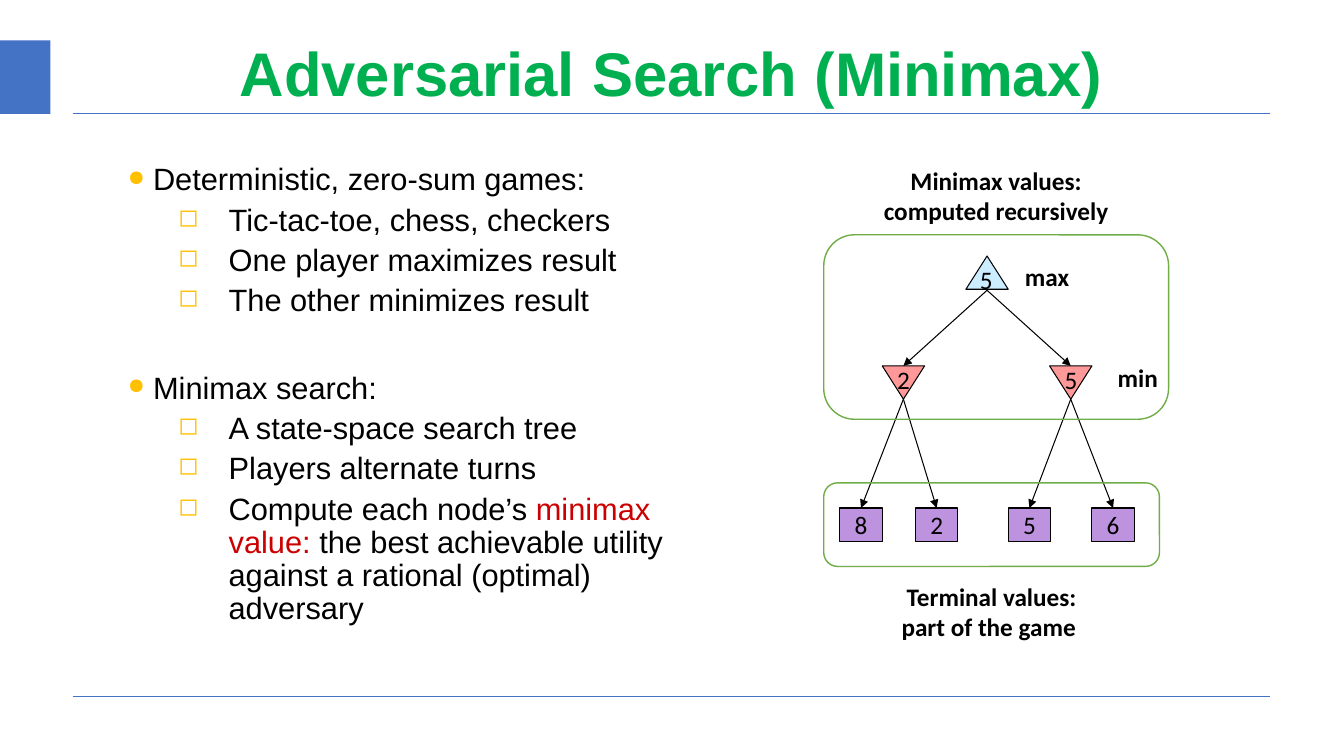
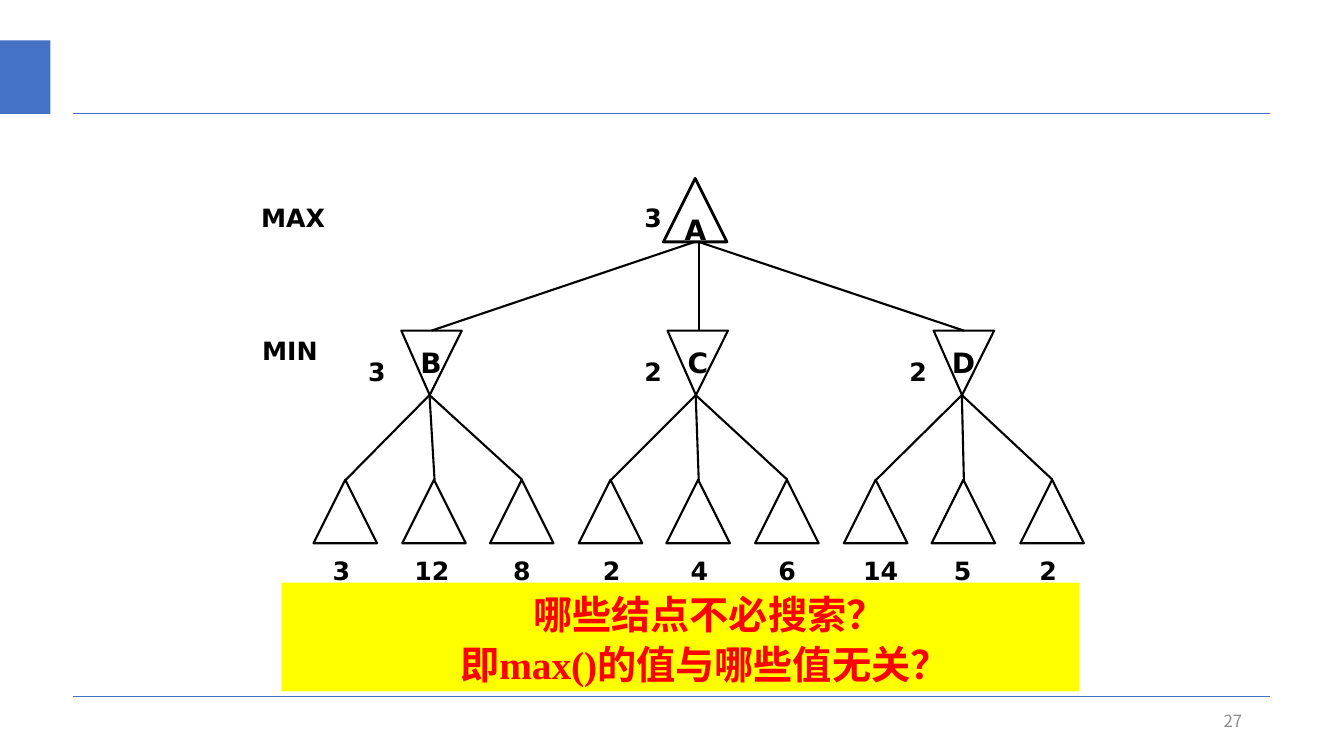
import dataclasses
import typing

import pptx
import pptx.dml.color
import pptx.enum.shapes
import pptx.enum.text
import pptx.oxml.ns
import pptx.util
from lxml import etree

RGB = pptx.dml.color.RGBColor
SHAPE = pptx.enum.shapes.MSO_SHAPE
ALIGN = pptx.enum.text.PP_ALIGN
ANCHOR = pptx.enum.text.MSO_ANCHOR
qn = pptx.oxml.ns.qn

BLACK = RGB(0x00, 0x00, 0x00)
BLUE = RGB(0x44, 0x72, 0xC4)
GREEN = RGB(0x00, 0xB0, 0x50)
FRAME_GREEN = RGB(0x70, 0xAD, 0x47)
GOLD = RGB(0xFF, 0xC0, 0x00)
DARK_RED = RGB(0xCC, 0x00, 0x00)
RED = RGB(0xFF, 0x00, 0x00)
YELLOW = RGB(0xFF, 0xFF, 0x00)
SKY = RGB(0xCC, 0xEC, 0xFF)
PINK = RGB(0xFF, 0x99, 0x99)
PURPLE = RGB(0xBD, 0x92, 0xDE)
GRAY = RGB(0x8C, 0x8C, 0x8C)

EMU_PER_PX = 9144


class Area(typing.NamedTuple):
    left: int
    top: int
    width: int
    height: int


class Point(typing.NamedTuple):
    x: int
    y: int


class Span(typing.NamedTuple):
    text: str
    color: RGB = BLACK
    font: str = "Arial"


@dataclasses.dataclass
class Bullet:
    spans: list[Span]
    level: int = 1
    before: int = 5


@dataclasses.dataclass
class Node:
    letter: str
    letter_left: int
    value: str
    value_left: int
    tip: int


@dataclasses.dataclass
class Leaf:
    value: str
    value_left: int


BULLETS = [
    Bullet([Span("Deterministic, zero-sum games:")], 0, 0),
    Bullet([Span("Tic-tac-toe, chess, checkers")]),
    Bullet([Span("One player maximizes result")]),
    Bullet([Span("The other minimizes result")]),
    Bullet([Span("Minimax search:")], 0, 39),
    Bullet([Span("A state-space search tree")]),
    Bullet([Span("Players alternate turns")]),
    Bullet([
        Span("Compute each node’s "),
        Span("minimax value: ", DARK_RED),
        Span("the best achievable utility against a rational (optimal) adversary"),
    ]),
]
NODES = [
    Node("B", 417, "3", 365, 426),
    Node("C", 682, "2", 639, 690),
    Node("D", 944, "2", 902, 954),
]
LEAVES = [
    Leaf("3", 330), Leaf("12", 411), Leaf("8", 509),
    Leaf("2", 598), Leaf("4", 685), Leaf("6", 772),
    Leaf("14", 856), Leaf("5", 946), Leaf("2", 1031),
]


def px(length: int) -> pptx.util.Emu:
    return pptx.util.Emu(length * EMU_PER_PX)


def scaled(values: typing.Iterable[int]) -> list[pptx.util.Emu]:
    return [px(value) for value in values]


def add_span(para, text: str, *, font: str = "Calibri", size: int = 18,
             color: RGB = BLACK, bold: bool = False) -> None:
    span = para.add_run()
    span.text = text
    span.font.name = font
    span.font.size = pptx.util.Pt(size)
    span.font.bold = bold
    span.font.color.rgb = color
    latin = span.font._element.find(qn("a:latin"))
    east_asian = etree.Element(qn("a:ea"), typeface=font)
    latin.addnext(east_asian)


def write_text(box, text: str, *, align=ALIGN.LEFT, anchor=ANCHOR.TOP,
               wrap: bool = True, margin: int | None = None,
               spacing: float | None = None, **span_format) -> None:
    frame = box.text_frame
    frame.word_wrap = wrap
    frame.vertical_anchor = anchor
    if margin is not None:
        frame.margin_left = frame.margin_right = px(margin)
        frame.margin_top = frame.margin_bottom = px(margin)
    for index, line in enumerate(text.split("\n")):
        para = frame.add_paragraph() if index else frame.paragraphs[0]
        para.alignment = align
        para.line_spacing = spacing
        add_span(para, line, **span_format)


def add_label(page, area: Area, text: str, **text_format) -> None:
    write_text(page.shapes.add_textbox(*scaled(area)), text, **text_format)


def add_figure(page, kind, area: Area, *, fill: RGB | None = None,
               line: RGB | None = None, weight: float = 0.75, flipped: bool = False):
    figure = page.shapes.add_shape(kind, *scaled(area))
    figure.shadow.inherit = False
    if fill is None:
        figure.fill.background()
    else:
        figure.fill.solid()
        figure.fill.fore_color.rgb = fill
    if line is None:
        figure.line.fill.background()
    else:
        figure.line.color.rgb = line
        figure.line.width = pptx.util.Pt(weight)
    if flipped:
        figure.rotation = 180
    return figure


def add_line(page, start: Point, end: Point, *, color: RGB = BLACK,
             weight: float = 0.75, arrow: bool = False) -> None:
    connector = page.shapes.add_connector(
        pptx.enum.shapes.MSO_CONNECTOR.STRAIGHT, *scaled(start + end))
    connector.line.color.rgb = color
    connector.line.width = pptx.util.Pt(weight)
    properties = connector._element.spPr
    if arrow:
        etree.SubElement(properties.find(qn("a:ln")), qn("a:tailEnd"), type="triangle")
    etree.SubElement(properties, qn("a:effectLst"))


def add_page(deck, layout: int):
    page = deck.slides.add_slide(deck.slide_layouts[layout])
    add_figure(page, SHAPE.RECTANGLE, Area(0, 40, 50, 73), fill=BLUE)
    for y in (112, 691):
        add_line(page, Point(72, y), Point(1260, y), color=BLUE, weight=0.5)
    return page


def set_title(page, text: str) -> None:
    title = page.shapes.title
    title.left, title.top, title.width, title.height = scaled(Area(91, 33, 1150, 85))
    write_text(title, text, align=ALIGN.CENTER, anchor=ANCHOR.MIDDLE, spacing=0.9,
               font="Arial", size=44, color=GREEN, bold=True)


def set_indent(para, margin: int, first: int) -> None:
    properties = para._p.get_or_add_pPr()
    properties.set("marL", str(px(margin)))
    properties.set("indent", str(px(first)))


def add_bullets(page, area: Area, bullets: list[Bullet]) -> None:
    frame = page.shapes.add_textbox(*scaled(area)).text_frame
    frame.word_wrap = True
    for index, bullet in enumerate(bullets):
        para = frame.add_paragraph() if index else frame.paragraphs[0]
        para.level = bullet.level
        para.line_spacing = 0.9
        para.space_before = pptx.util.Pt(bullet.before)
        margin, first, size, mark = ((25, -25, 70, "●"), (100, -50, 80, "◻"))[bullet.level]
        set_indent(para, margin, first)
        properties = para._p.get_or_add_pPr()
        color = etree.SubElement(properties, qn("a:buClr"))
        etree.SubElement(color, qn("a:srgbClr"), val=str(GOLD))
        etree.SubElement(properties, qn("a:buSzPct"), val=str(size * 1000))
        etree.SubElement(properties, qn("a:buChar"), char=mark)
        for span in bullet.spans:
            add_span(para, span.text, font=span.font, size=22, color=span.color)


def build_minimax(deck) -> None:
    page = add_page(deck, 5)
    set_title(page, "Adversarial Search (Minimax)")
    add_bullets(page, Area(117, 158, 600, 495), BULLETS)

    root = Point(979, 288)
    add_figure(page, SHAPE.ISOSCELES_TRIANGLE, Area(root.x - 21, 254, 42, 33),
               fill=SKY, line=BLACK)
    add_label(page, Area(962, 257, 34, 40), "5", wrap=False)
    branches = [(896, "2", [("8", 854), ("2", 929)]),
                (1062, "5", [("5", 1021), ("6", 1104)])]
    for center, value, terminals in branches:
        add_figure(page, SHAPE.ISOSCELES_TRIANGLE, Area(center - 21, 363, 42, 33),
                   fill=PINK, line=BLACK, flipped=True)
        add_label(page, Area(center - 16, 357, 34, 40), value, wrap=False)
        add_line(page, root, Point(center, 363), arrow=True)
        for text, x in terminals:
            box = add_figure(page, SHAPE.RECTANGLE, Area(x - 21, 504, 42, 33),
                             fill=PURPLE, line=BLACK)
            write_text(box, text, align=ALIGN.CENTER, anchor=ANCHOR.MIDDLE, wrap=False)
            add_line(page, Point(center, 396), Point(x, 504), arrow=True)

    for area in (Area(817, 479, 333, 83), Area(817, 233, 342, 183)):
        add_figure(page, SHAPE.ROUNDED_RECTANGLE, area, line=FRAME_GREEN, weight=1)
    captions = [
        (Area(1002, 254, 73, 40), "max"),
        (Area(1092, 354, 73, 40), "min"),
        (Area(817, 571, 333, 71), "Terminal values:\npart of the game "),
        (Area(817, 158, 342, 71), "Minimax values:\ncomputed recursively"),
    ]
    for area, text in captions:
        add_label(page, area, text, align=ALIGN.CENTER, anchor=ANCHOR.MIDDLE, bold=True)


def add_tree_label(page, left: int, top: int, text: str, size: int = 18) -> None:
    add_label(page, Area(left, top, 29 * len(text), 32), text, margin=0, spacing=1.07,
              font="DejaVu Sans", size=size, bold=True)


def add_question(page) -> None:
    box = add_figure(page, SHAPE.RECTANGLE, Area(279, 578, 791, 108), fill=YELLOW)
    frame = box.text_frame
    frame.word_wrap = True
    frame.vertical_anchor = ANCHOR.TOP
    lines = [
        [Span("哪些结点不必搜索？", RED, "Calibri")],
        [Span("即", RED, "Calibri"), Span("max()", RED, "Times New Roman"),
         Span("的值与哪些值无关？ ", RED, "Calibri")],
    ]
    for index, spans in enumerate(lines):
        para = frame.add_paragraph() if index else frame.paragraphs[0]
        para.alignment = ALIGN.CENTER
        para.line_spacing = 1.06
        set_indent(para, 0, 58)
        for span in spans:
            add_span(para, span.text, font=span.font, size=28, color=span.color, bold=True)


def build_tree(deck) -> None:
    page = add_page(deck, 6)
    add_label(page, Area(942, 695, 300, 40), "27", align=ALIGN.RIGHT, anchor=ANCHOR.MIDDLE,
              font="Noto Sans CJK SC", size=12, color=GRAY)
    add_figure(page, SHAPE.ISOSCELES_TRIANGLE, Area(658, 177, 63, 63), line=BLACK, weight=2)
    add_tree_label(page, 679, 208, "A", 20)
    add_tree_label(page, 639, 199, "3")
    add_tree_label(page, 259, 199, "MAX")
    add_tree_label(page, 260, 331, "MIN")

    for start, end in ((689, 428), (693, 693), (693, 956)):
        add_line(page, Point(start, 240), Point(end, 328), weight=1.5)
    for node in NODES:
        triangle = add_figure(page, SHAPE.ISOSCELES_TRIANGLE, Area(node.tip - 28, 328, 60, 64),
                              line=BLACK, weight=1.5, flipped=True)
        triangle.adjustments[0] = 0.53
        add_tree_label(page, node.letter_left, 340, node.letter, 20)
        add_tree_label(page, node.value_left, 351, node.value)

    for index, leaf in enumerate(LEAVES):
        apex = Point(343 + round(index * 87.6), 476)
        add_figure(page, SHAPE.ISOSCELES_TRIANGLE, Area(apex.x - 32, 476, 63, 63),
                   line=BLACK, weight=1.5)
        add_line(page, Point(NODES[index // 3].tip, 392), apex, weight=1.5)
        add_tree_label(page, leaf.value_left, 549, leaf.value)
    add_question(page)


def main() -> None:
    deck = pptx.Presentation()
    deck.slide_width, deck.slide_height = px(1333), px(750)
    build_minimax(deck)
    build_tree(deck)
    deck.save("out.pptx")


if __name__ == "__main__":
    main()
